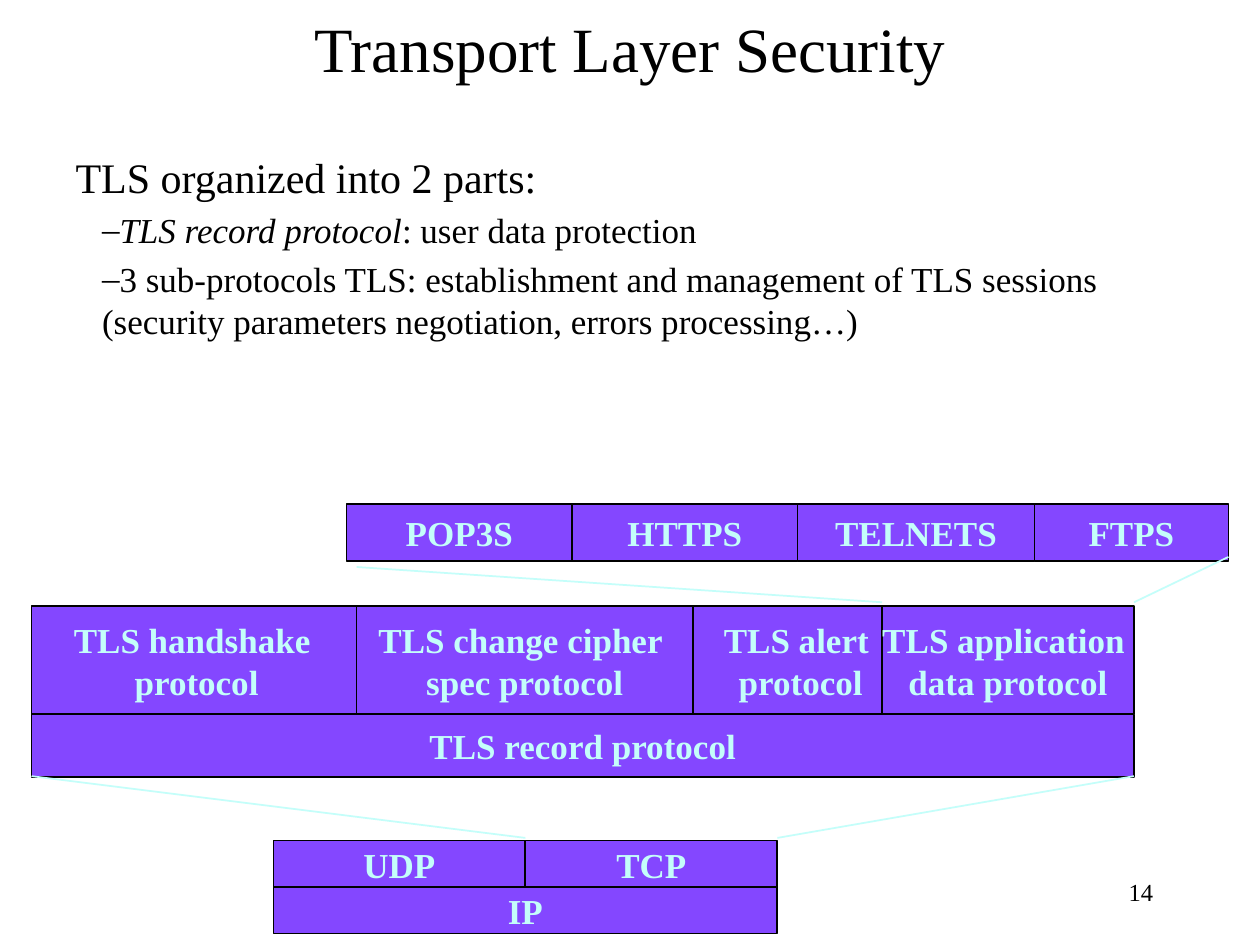
from pptx import Presentation
from pptx import util as u
from pptx.dml.color import RGBColor
from pptx.enum import shapes, text
from pptx.oxml.ns import qn
from lxml import etree

FONT = "Times New Roman"
BLACK, PURPLE, AQUA = "000000", "8447FF", "C4FEFA"

# Protocol rows: top, height, then (left, width, lines) for each box
ROWS = [
    (4, 0.45, [(2.75, 1.79, ["POP3S"]), (4.54, 1.79, ["HTTPS"]),
               (6.33, 1.88, ["TELNETS"]), (8.21, 1.54, ["FTPS"])]),
    (4.81, 0.86, [(0.25, 2.62, ["TLS handshake ", "protocol"]),
                  (2.83, 2.67, ["TLS change cipher ", "spec protocol"]),
                  (5.5, 1.71, ["TLS alert ", "protocol"]),
                  (7, 2, ["TLS application ", "data protocol"])]),
    (5.67, 0.5, [(0.25, 8.75, ["TLS record protocol"])]),
    (6.67, 0.38, [(2.17, 2, ["UDP"]), (4.17, 2, ["TCP"])]),
    (7.04, 0.37, [(2.17, 4, ["IP"])]),
]

# Lines that link one layer to the next
LINKS = [(7, 4.78, 2.83, 4.5), (9, 4.78, 9.75, 4.42),
         (4.17, 6.65, 0.25, 6.16), (6.17, 6.65, 9, 6.16)]

# Body list: level, then (words, italic) runs
LIST = [
    (0, [("TLS organized into 2 parts:", False)]),
    (1, [("TLS record protocol", True), (": user data protection", False)]),
    (1, [("3 sub-protocols TLS: establishment and management of TLS sessions "
          "(security parameters negotiation, errors processing…)", False)]),
]


def color(code):
    return RGBColor.from_string(code)


def place(shape, *rect):
    shape.left, shape.top, shape.width, shape.height = map(u.Inches, rect)


def add_run(para, words, size, code=BLACK, bold=False, italic=False):
    run = para.add_run()
    run.text = words
    font = run.font
    font.name, font.size = FONT, u.Pt(size)
    font.bold, font.italic = bold, italic
    font.color.rgb = color(code)


def next_para(frame, index):
    return frame.add_paragraph() if index else frame.paragraphs[0]


def set_bullet(para, level):
    props = para._p.get_or_add_pPr()
    props.set("marL", str(u.Inches(0.21 * level)))
    props.set("indent", "0")
    if not level:
        etree.SubElement(props, qn("a:buNone"))
        return
    tint = etree.SubElement(props, qn("a:buClr"))
    etree.SubElement(tint, qn("a:srgbClr")).set("val", BLACK)
    etree.SubElement(props, qn("a:buFont")).set("typeface", FONT)
    etree.SubElement(props, qn("a:buChar")).set("char", "–")


def add_title(slide):
    title = slide.shapes.title
    place(title, 0.5, -0.01, 9, 0.77)
    para = title.text_frame.paragraphs[0]
    para.alignment = text.PP_ALIGN.CENTER
    add_run(para, "Transport Layer Security", 36)


def add_list(slide):
    body = slide.placeholders[1]
    place(body, 0.5, 1.15, 9.25, 4.5)
    frame = body.text_frame
    frame.auto_size = text.MSO_AUTO_SIZE.NONE
    for i, (level, runs) in enumerate(LIST):
        para = next_para(frame, i)
        para.level = level
        set_bullet(para, level)
        for words, italic in runs:
            add_run(para, words, 20 if level else 24, italic=italic)


def add_box(slide, rect, lines):
    box = slide.shapes.add_shape(shapes.MSO_SHAPE.RECTANGLE,
                                 *map(u.Inches, rect))
    box.shadow.inherit = False
    box.fill.solid()
    box.fill.fore_color.rgb = color(PURPLE)
    box.line.color.rgb = color(BLACK)
    box.line.width = u.Pt(1)
    frame = box.text_frame
    frame.word_wrap = False
    frame.vertical_anchor = text.MSO_ANCHOR.MIDDLE
    for i, words in enumerate(lines):
        para = next_para(frame, i)
        para.alignment = text.PP_ALIGN.CENTER
        add_run(para, words, 20, AQUA, bold=True)


def add_link(slide, ends):
    link = slide.shapes.add_connector(shapes.MSO_CONNECTOR.STRAIGHT,
                                      *map(u.Inches, ends))
    link.line.color.rgb = color(AQUA)
    link.line.width = u.Pt(1)
    etree.SubElement(link._element.spPr, qn("a:effectLst"))


def add_number(slide):
    box = slide.shapes.add_textbox(*map(u.Inches, (7.17, 6.83, 2.08, 0.5)))
    frame = box.text_frame
    frame.word_wrap = True
    frame.vertical_anchor = text.MSO_ANCHOR.MIDDLE
    para = frame.paragraphs[0]
    para.alignment = text.PP_ALIGN.RIGHT
    add_run(para, "14", 14)


def main():
    deck = Presentation()
    deck.slide_width, deck.slide_height = u.Inches(10), u.Inches(7.5)
    slide = deck.slides.add_slide(deck.slide_layouts[1])
    # Text
    add_title(slide)
    add_list(slide)
    add_number(slide)
    # Protocol stack
    for top, height, boxes in ROWS:
        for left, width, lines in boxes:
            add_box(slide, (left, top, width, height), lines)
    for ends in LINKS:
        add_link(slide, ends)
    deck.save("out.pptx")


main()
